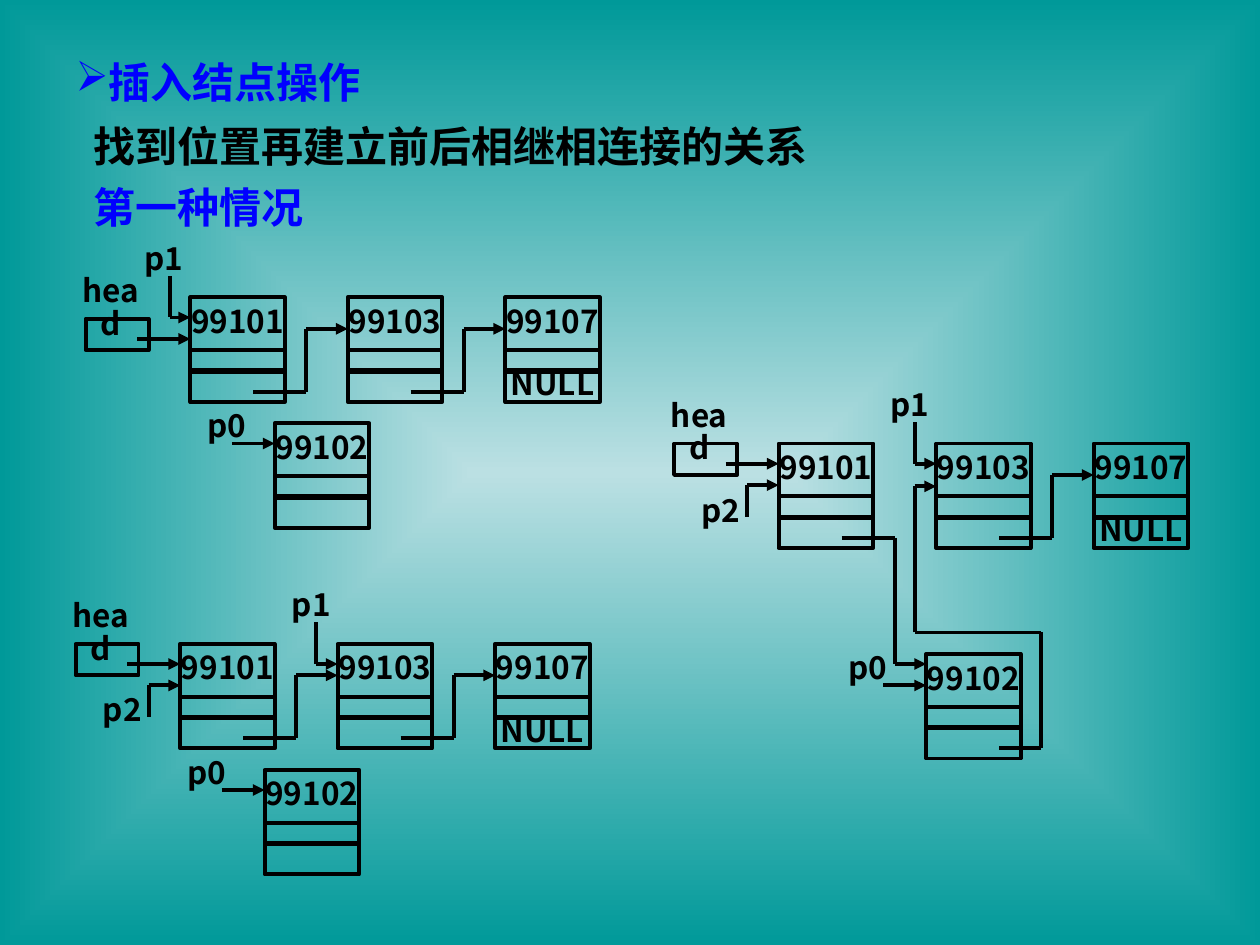
import dataclasses

import pptx
import pptx.dml.color
import pptx.enum.shapes
import pptx.enum.text
import pptx.oxml
import pptx.oxml.ns
import pptx.util

Inches = pptx.util.Inches
Pt = pptx.util.Pt
Rgb = pptx.dml.color.RGBColor.from_string
Align = pptx.enum.text.PP_ALIGN
Anchor = pptx.enum.text.MSO_ANCHOR
qn = pptx.oxml.ns.qn


@dataclasses.dataclass
class Theme:
    ink: str = "000000"
    blue: str = "0000FF"
    light: str = "BBE0E3"
    teal: str = "009999"
    head: str = "DejaVu Sans"
    body: str = "Noto Sans CJK SC"
    big: int = 24
    small: int = 18
    line: float = 2.25


theme = Theme()


def write(shape, text, font, size, color, inset, **para):
    """Fill a shape with one bold paragraph; inset is (side, top) in inches."""
    frame = shape.text_frame
    side, top = inset
    margins = {"margin_left": side, "margin_right": side,
               "margin_top": top, "margin_bottom": top}
    for name, value in margins.items():
        setattr(frame, name, Inches(value))
    frame.word_wrap = True
    line = frame.paragraphs[0]
    for name, value in para.items():
        setattr(line, name, value)
    run = line.add_run()
    run.text = text
    look = {"name": font, "size": Pt(size), "bold": True}
    for name, value in look.items():
        setattr(run.font, name, value)
    run.font.color.rgb = Rgb(color)


def cell(x, y, w, h, text=""):
    """Draw an outlined box, with centred text if there is any."""
    kind = pptx.enum.shapes.MSO_SHAPE.RECTANGLE
    shape = slide.shapes.add_shape(kind, Inches(x), Inches(y), Inches(w), Inches(h))
    shape.shadow.inherit = False
    shape.fill.background()
    shape.line.color.rgb = Rgb(theme.ink)
    shape.line.width = Pt(theme.line)
    if text:
        shape.text_frame.vertical_anchor = Anchor.MIDDLE
        write(shape, text, theme.body, theme.small, theme.ink, (0, 0),
              alignment=Align.CENTER, line_spacing=0.85)


deck = pptx.Presentation()
deck.slide_width = Inches(10)
deck.slide_height = Inches(7.5)
slide = deck.slides.add_slide(deck.slide_layouts[5])

# Background: light centre, teal edges
fill = slide.background.fill
fill.gradient()
for stop, place, color in zip(fill.gradient_stops, (0, 1), (theme.light, theme.teal)):
    stop.position = place
    stop.color.rgb = Rgb(color)
grad = slide.element.find(".//" + qn("a:gradFill"))
grad.remove(grad.find(qn("a:lin")))
grad.append(pptx.oxml.parse_xml(
    '<a:path xmlns:a="http://schemas.openxmlformats.org/drawingml/2006/main" path="rect">'
    '<a:fillToRect l="50000" t="50000" r="50000" b="50000"/></a:path>'))

# Headings
title = slide.shapes.title
spot = {"left": 0.5, "top": 0.4, "width": 9, "height": 0.5}
for name, value in spot.items():
    setattr(title, name, Inches(value))
title.text_frame.vertical_anchor = Anchor.MIDDLE
write(title, "插入结点操作", theme.head, theme.big, theme.blue, (0.1, 0.05),
      alignment=Align.LEFT)
props = title.text_frame.paragraphs[0]._p.get_or_add_pPr()
props.set("marL", "0")
props.set("indent", "0")
pptx.oxml.ns  # bullet children follow in schema order
tint = props.makeelement(qn("a:buClr"), {})
tint.append(tint.makeelement(qn("a:srgbClr"), {"val": theme.blue}))
props.append(tint)
props.append(props.makeelement(qn("a:buChar"), {"char": "➢"}))

for y, text, color in ((0.91, "找到位置再建立前后相继相连接的关系", theme.ink),
                       (1.39, "第一种情况", theme.blue)):
    box = slide.shapes.add_textbox(Inches(0.5), Inches(y), Inches(9), Inches(0.5))
    write(box, text, theme.head, theme.big, color, (0.24, 0.05))

# Lists: all offsets are from the top left corner of node 99101
step = 1.25
link = [(0.5, 0.75), (0.92, 0.75), (0.92, 0.25), (step, 0.25)]
after = [(x + step, y) for x, y in link]
first = [(-0.16, -0.17), (-0.16, 0.16), (0, 0.16)]
second = [(1.08, -0.17), (1.08, 0.16), (step, 0.16)]
prior = [(-0.25, 0.58), (-0.25, 0.33), (0, 0.33)]
fresh = [(0.33, 1.16), (0.67, 1.16)]
down = [(0.5, 0.75), (0.92, 0.75), (0.92, 1.75), (1.17, 1.75)]
back = [(1.75, 2.42), (2.08, 2.42), (2.08, 1.5), (1.08, 1.5), (1.08, 0.34), (step, 0.34)]

lists = [
    # origin, head offset, new node, labels, trails
    ((1.51, 2.36), 0.17, (0.67, 1),
     {"p1": (-0.5, -0.42), "p0": (0, 0.91)},
     [first, link, after, fresh]),
    ((1.43, 5.11), 0, (0.67, 1),
     {"p1": (0.75, -0.42), "p0": (-0.08, 0.91), "p2": (-0.75, 0.41)},
     [second, prior, link, after, fresh]),
    ((6.18, 3.52), 0, (1.17, 1.67),
     {"p1": (0.75, -0.42), "p0": (0.42, 1.67), "p2": (-0.75, 0.42)},
     [second, prior, down, after, back, [(0.83, 1.92), (1.17, 1.92)]]),
]

for (left, top), drop, new, labels, trails in lists:
    cell(left - 0.83, top + drop, 0.5, 0.25)
    nodes = {"99101": (0, 0), "99103": (step, 0), "99107": (2 * step, 0), "99102": new}
    for value, (x, y) in nodes.items():
        x, y = left + x, top + y
        cell(x, y, 0.75, 0.42, value)
        cell(x, y + 0.42, 0.75, 0.17)
        cell(x, y + 0.58, 0.75, 0.25, "NULL" if value == "99107" else "")

    names = {"head": (-0.92, drop - 0.33), **labels}
    for text, (x, y) in names.items():
        box = slide.shapes.add_textbox(Inches(left + x), Inches(top + y),
                                       Inches(0.58), Inches(0.25))
        write(box, text, theme.body, theme.small, theme.ink, (0, 0),
              alignment=Align.CENTER, line_spacing=0.85)

    entry = [(-0.42, drop + 0.16), (0, drop + 0.16)]
    for trail in [entry, *trails]:
        for start, end in zip(trail, trail[1:]):
            ends = [Inches(base + part) for point in (start, end)
                    for base, part in zip((left, top), point)]
            wire = slide.shapes.add_connector(
                pptx.enum.shapes.MSO_CONNECTOR.STRAIGHT, *ends)
            wire.line.color.rgb = Rgb(theme.ink)
            wire.line.width = Pt(theme.line)
            shape = wire.element.spPr
            if end == trail[-1]:
                stroke = shape.find(qn("a:ln"))
                stroke.append(stroke.makeelement(qn("a:tailEnd"), {"type": "triangle"}))
            shape.append(shape.makeelement(qn("a:effectLst"), {}))

deck.save("out.pptx")
